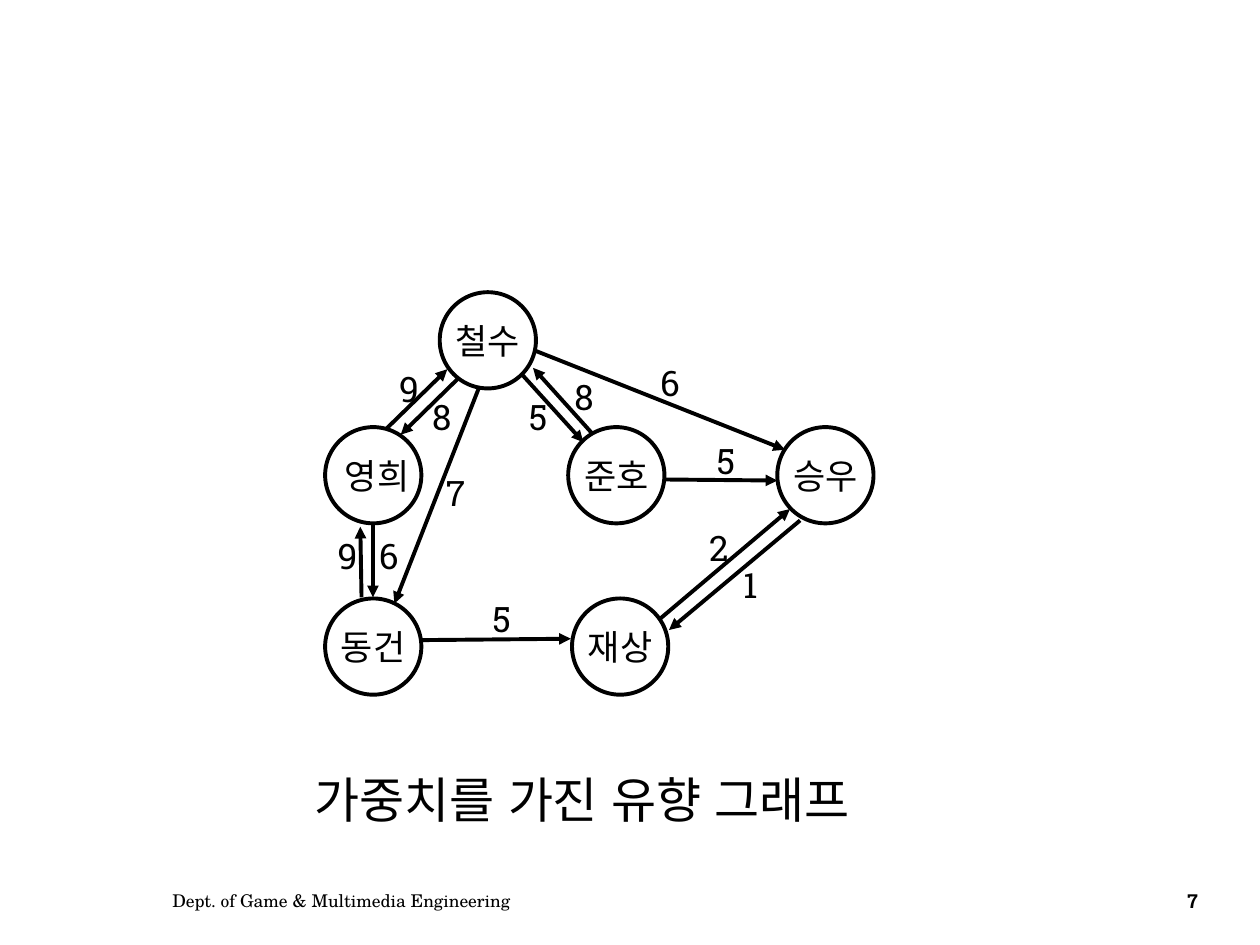
"""Build a slide that shows a weighted directed graph of six friends."""
from lxml.etree import SubElement
from pptx import Presentation
from pptx.dml.color import RGBColor as Rgb
from pptx.enum.shapes import MSO_CONNECTOR as Conn, MSO_SHAPE as Shape
from pptx.enum.text import MSO_ANCHOR as Anchor, MSO_AUTO_SIZE as Auto, PP_ALIGN as Align
from pptx.oxml.ns import qn
from pptx.util import Pt

INK = {"black": "000000"}
SIZE = 55
NODES = [
    (" 영희", 185.8, 244.1), ("철수", 251.3, 167), ("준호", 324.7, 244.1),
    ("동건", 185.8, 342), ("승우", 444.2, 244.1), ("재상", 326.9, 342),
]
EDGES = [
    ("9", (220.3, 245.5, 255.6, 211), (221, 206.6)),
    ("6", (305.3, 200.2, 448.6, 257), (370.1, 203)),
    ("5", (298.1, 213.8, 333.4, 252.7), (295.2, 222.5)),
    ("5", (240.5, 365.8, 326.2, 365), (274.3, 337.7)),
    ("5", (380.2, 274, 444.2, 274.6), (402.5, 247.7)),
    ("2", (377.3, 353.5, 451.4, 290.9), (398.2, 297.4)),
    ("6", (213.1, 299.5, 213.1, 341.3), (209.5, 301.7)),
    ("7", (273.6, 221.8, 225.4, 344.9), (247.7, 265.7)),
    ("8", (261.4, 216.7, 229, 248.4), (239.8, 222.5)),
    ("9", (206.6, 341.3, 205.9, 301), (185.8, 301.7)),
    ("1", (457.2, 297.4, 382.3, 360), (417.6, 318.2)),
    ("8", (338.4, 247.7, 304.6, 210.2), (321.1, 211)),
]


class Deck:
    """Hold the style and the current slide."""

    def __init__(self):
        self.show = Presentation()
        self.show.slide_width, self.show.slide_height = Pt(720), Pt(540)
        self.slide = self.show.slides.add_slide(self.show.slide_layouts[6])
        self.ink = Rgb.from_string(INK["black"])
        self.fonts = {
            "node": {"name": "Noto Sans CJK KR", "size": Pt(20)},
            "weight": {"name": "Roboto Slab", "size": Pt(20)},
            "title": {"name": "Arial", "size": Pt(28)},
            "foot": {"name": "TeX Gyre Schola", "size": Pt(10)},
            "page": {"name": "Roboto Slab", "size": Pt(11), "bold": True},
        }

    def fill_text(self, shape, text, kind, align=Align.LEFT, **frame):
        """Put styled text in a shape."""
        for key, val in frame.items():
            setattr(shape.text_frame, key, val)
        para = shape.text_frame.paragraphs[0]
        para.alignment = align
        run = para.add_run()
        run.text = text
        for key, val in self.fonts[kind].items():
            setattr(run.font, key, val)
        run.font.color.rgb = self.ink
        props = run._r.get_or_add_rPr()
        SubElement(props, qn("a:ea")).set("typeface", run.font.name)
        return props

    def stroke(self, line):
        """Set the colour and width of a line."""
        line.color.rgb = self.ink
        line.width = Pt(2.25)

    def node(self, text, left, top):
        """Add a named circle."""
        ring = self.slide.shapes.add_shape(
            Shape.OVAL, Pt(left), Pt(top), Pt(SIZE), Pt(SIZE))
        ring.shadow.inherit = False
        ring.fill.background()
        self.stroke(ring.line)
        self.fill_text(ring, text, "node", Align.CENTER,
                       word_wrap=False, vertical_anchor=Anchor.MIDDLE)

    def edge(self, ends):
        """Add an arrow."""
        arrow = self.slide.shapes.add_connector(Conn.STRAIGHT, *map(Pt, ends))
        self.stroke(arrow.line)
        props = arrow._element.spPr
        tip = SubElement(props.find(qn("a:ln")), qn("a:tailEnd"))
        tip.set("type", "triangle")
        SubElement(props, qn("a:effectLst"))

    def label(self, text, kind, box, align=Align.LEFT, **frame):
        """Add a text box."""
        area = self.slide.shapes.add_textbox(*map(Pt, box))
        return self.fill_text(area, text, kind, align, **frame)


def main():
    """Draw the graph and save the file."""
    deck = Deck()
    for node in NODES:
        deck.node(*node)
    for _, ends, _ in EDGES:
        deck.edge(ends)
    grow = {"word_wrap": False, "auto_size": Auto.SHAPE_TO_FIT_TEXT}
    for text, _, spot in EDGES:
        deck.label(text, "weight", (*spot, 26.6, 31), **grow)
    deck.label("가중치를 가진 유향 그래프", "title", (172.8, 436.3, 345.6, 41), **grow)
    fixed = {"word_wrap": True, "vertical_anchor": Anchor.MIDDLE}
    deck.label("Dept. of Game & Multimedia Engineering", "foot",
               (91.4, 500.4, 330.5, 28.8), **fixed)
    page = deck.label("7", "page", (662.4, 500.4, 38.2, 28.8), Align.CENTER, **fixed)
    page.set("spc", "-70")
    deck.show.save("out.pptx")


if __name__ == "__main__":
    main()
